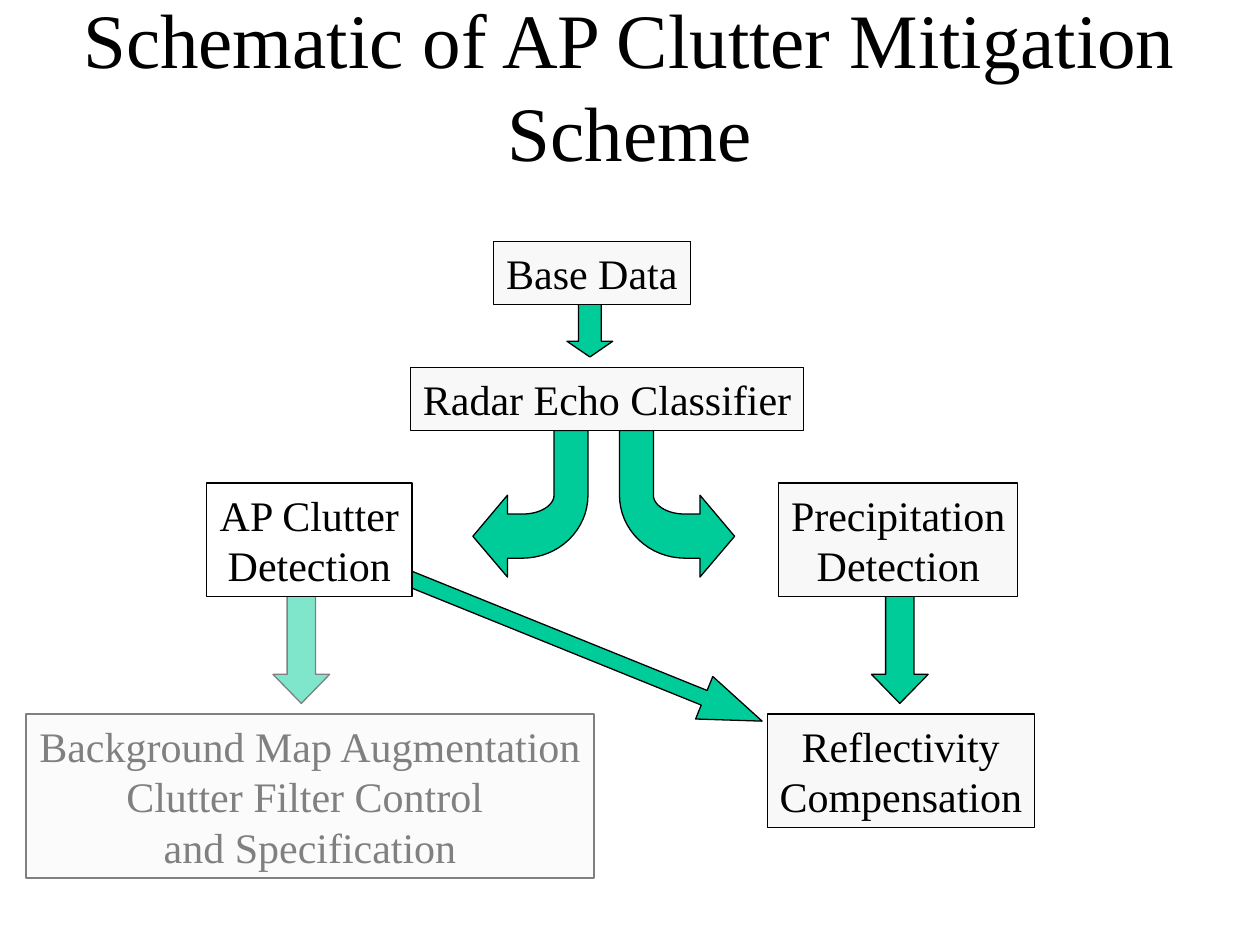
import math
import pptx
import pptx.util
import pptx.dml.color
import pptx.enum.shapes
import pptx.enum.text
from lxml import etree

Pt = pptx.util.Pt
kinds = pptx.enum.shapes.MSO_SHAPE
align = pptx.enum.text.PP_ALIGN
anchor = pptx.enum.text.MSO_ANCHOR
black, gray, green, pale = "000000", "808080", "00CC99", "F8F8F8"
font = "Times New Roman"


def color(code):
    return pptx.dml.color.RGBColor.from_string(code)


def paint(shape, fill, line, faded=False):
    shape.shadow.inherit = False
    shape.fill.solid()
    shape.fill.fore_color.rgb = color(fill)
    shape.line.color.rgb = color(line)
    shape.line.width = Pt(0.75)
    if faded:
        tag = pptx.oxml.ns.qn
        tint = shape._element.spPr.find(tag("a:solidFill")).find(tag("a:srgbClr"))
        etree.SubElement(tint, tag("a:alpha")).set("val", "50000")


deck = pptx.Presentation()
deck.slide_width, deck.slide_height = Pt(720), Pt(540)
slide = deck.slides.add_slide(deck.slide_layouts[6])
shapes = slide.shapes

title = shapes.add_textbox(Pt(0), Pt(3), Pt(720), Pt(90))
frame = title.text_frame
frame.word_wrap = True
frame.vertical_anchor = anchor.MIDDLE
frame.text = "Schematic of AP Clutter Mitigation Scheme"
head = frame.paragraphs[0]
head.alignment = align.CENTER
head.font.size = Pt(44)
head.font.name = font
head.font.color.rgb = color(black)

arrows = [
    (311.6, 247.8, 26.2, 239, 292, 0.343, 1.362, False),
    (498, 336, 32.4, 66, 0, 0.5, 0.512, False),
    (156, 336, 32.4, 66, 0, 0.5, 0.512, True),
    (324, 168, 26.2, 36, 0, 0.5, 0.343, False),
]
for left, top, width, height, turn, shaft, tip, faded in arrows:
    arrow = shapes.add_shape(kinds.DOWN_ARROW, Pt(left), Pt(top), Pt(width), Pt(height))
    arrow.rotation = turn
    arrow.adjustments[0] = shaft
    arrow.adjustments[1] = tip
    paint(arrow, green, gray if faded else black, faded)

steps = 16
angles = [math.pi / 2 * n / steps for n in range(steps + 1)]
outer = [(37.4 - 37.4 * math.cos(a), 283 + 36 * math.sin(a)) for a in angles]
inner = [(37.4 - 18 * math.cos(a), 283 + 10.8 * math.sin(a)) for a in reversed(angles)]
point = [(46, 319), (46, 329.8), (65.8, 306.5), (46, 283), (46, 293.8)]
bend = [(0, 246)] + outer + point + inner + [(19.4, 246)]
for start, side in [(354, 1), (336, -1)]:
    spots = [(Pt(start + side * x), Pt(y)) for x, y in bend]
    build = shapes.build_freeform(*spots[0], scale=1.0)
    build.add_line_segments(spots[1:], close=True)
    paint(build.convert_to_shape(), green, black)

boxes = [
    ("Base Data", 282.2, 138, 112.3, 36, pale, False),
    ("Radar Echo Classifier", 234.6, 210, 224.6, 36, pale, False),
    ("AP Clutter\nDetection", 118.1, 276, 117.4, 64.8, "FFFFFF", False),
    ("Precipitation\nDetection", 445, 276, 136.6, 64.8, pale, False),
    ("Reflectivity\nCompensation", 438.5, 408, 152.6, 64.8, pale, False),
    ("Background Map Augmentation\nClutter Filter Control \nand Specification",
     14.8, 408, 324.7, 93.8, pale, True),
]
for text, left, top, width, height, fill, faded in boxes:
    box = shapes.add_shape(kinds.RECTANGLE, Pt(left), Pt(top), Pt(width), Pt(height))
    ink = gray if faded else black
    paint(box, fill, ink, faded)
    middle = "\n" in text
    frame = box.text_frame
    frame.word_wrap = False
    frame.auto_size = pptx.enum.text.MSO_AUTO_SIZE.NONE
    frame.vertical_anchor = anchor.TOP
    frame.margin_left = Pt(5 if middle else 7.2)
    frame.margin_right = Pt(5)
    frame.text = text
    for para in frame.paragraphs:
        para.alignment = align.CENTER if middle else align.LEFT
        para.font.size = Pt(24)
        para.font.name = font
        para.font.color.rgb = color(ink)

deck.save("out.pptx")
